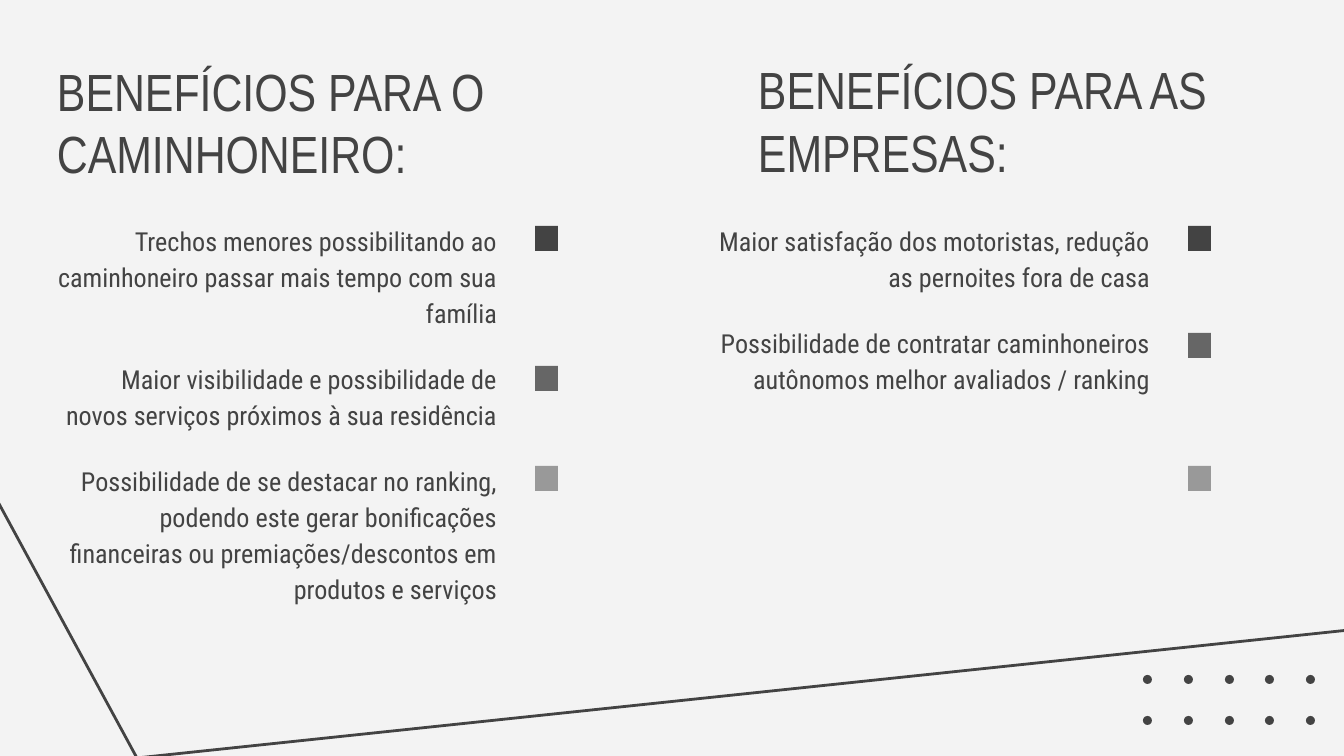
"""Build the slide on benefits for truck drivers and for companies."""

from dataclasses import dataclass

from pptx import Presentation
from pptx.dml.color import RGBColor
from pptx.enum.shapes import MSO_SHAPE
from pptx.enum.text import PP_ALIGN
from pptx.util import Emu, Pt

EMU_PER_PX = 914400 / 134.4


@dataclass(frozen=True)
class Theme:
    background: str = "F3F3F3"
    ink: str = "434343"
    markers: tuple = ("434343", "666666", "999999")
    title_font: str = "Arial Narrow"
    body_font: str = "Roboto Condensed"
    title_size: int = 28
    body_size: int = 14
    line_width: float = 1.5


THEME = Theme()
SLIDE_SIZE = (1344, 756)

COLUMNS = [
    {
        "left": 44,
        "title": "BENEFÍCIOS PARA O CAMINHONEIRO:",
        "title_position": (44, 46),
        "benefits": [
            "Trechos menores possibilitando ao caminhoneiro passar mais tempo com sua família",
            "Maior visibilidade e possibilidade de novos serviços próximos à sua residência",
            "Possibilidade de se destacar no ranking, podendo este gerar bonificações "
            "financeiras ou premiações/descontos em produtos e serviços",
        ],
        "marker_tops": (226, 366, 466),
    },
    {
        "left": 697,
        "title": "BENEFÍCIOS PARA AS EMPRESAS:",
        "title_position": (745, 44),
        "benefits": [
            "Maior satisfação dos motoristas, redução as pernoites fora de casa",
            "Possibilidade de contratar caminhoneiros autônomos melhor avaliados / ranking",
        ],
        "marker_tops": (226, 333, 466),
    },
]

TITLE_SIZE = (489, 122)
BODY_TOP, BODY_SIZE = 194, (466, 114)
MARKER_OFFSET, MARKER_SIZE = 491, (23, 25)
DOT_LEFT, DOT_SPAN, DOT_COLUMNS = 1143, 163, 5
DOT_TOPS, DOT_SIZE = (675, 716), (9, 9)
OUTLINE = [(-16, 476), (137, 758), (1359, 629)]


def px(value):
    return Emu(round(value * EMU_PER_PX))


def add_solid(slide, kind, position, size, color):
    shape = slide.shapes.add_shape(kind, *map(px, position + size))
    shape.shadow.inherit = False
    shape.fill.solid()
    shape.fill.fore_color.rgb = RGBColor.from_string(color)
    shape.line.fill.background()


def add_text(slide, position, size, insets, texts, font_name, font_size):
    frame = slide.shapes.add_textbox(*map(px, position + size)).text_frame
    frame.word_wrap = True
    frame.margin_left, frame.margin_top, frame.margin_right, frame.margin_bottom = map(px, insets)
    frame.text = "\n".join(texts)
    for paragraph in frame.paragraphs:
        paragraph.font.name = font_name
        paragraph.font.size = Pt(font_size)
        paragraph.font.color.rgb = RGBColor.from_string(THEME.ink)
    return frame.paragraphs


def add_decoration(slide):
    for top in DOT_TOPS:
        for column in range(DOT_COLUMNS):
            left = DOT_LEFT + round(column * DOT_SPAN / (DOT_COLUMNS - 1))
            add_solid(slide, MSO_SHAPE.OVAL, (left, top), DOT_SIZE, THEME.ink)
    builder = slide.shapes.build_freeform(*OUTLINE[0], scale=EMU_PER_PX)
    builder.add_line_segments(OUTLINE[1:], close=False)
    outline = builder.convert_to_shape()
    outline.shadow.inherit = False
    outline.fill.background()
    outline.line.color.rgb = RGBColor.from_string(THEME.ink)
    outline.line.width = Pt(THEME.line_width)


def add_column(slide, column):
    add_text(slide, column["title_position"], TITLE_SIZE, (13, 13, 13, 13),
             [column["title"]], THEME.title_font, THEME.title_size)
    benefits = add_text(slide, (column["left"], BODY_TOP), BODY_SIZE, (13, 27, 13, 0),
                        column["benefits"], THEME.body_font, THEME.body_size)
    for paragraph in benefits:
        paragraph.alignment = PP_ALIGN.RIGHT
        paragraph.line_spacing = 1.15
        paragraph.space_after = Pt(16)
    for top, color in zip(column["marker_tops"], THEME.markers):
        add_solid(slide, MSO_SHAPE.RECTANGLE, (column["left"] + MARKER_OFFSET, top),
                  MARKER_SIZE, color)


def main():
    presentation = Presentation()
    presentation.slide_width, presentation.slide_height = map(px, SLIDE_SIZE)
    slide = presentation.slides.add_slide(presentation.slide_layouts[6])
    slide.background.fill.solid()
    slide.background.fill.fore_color.rgb = RGBColor.from_string(THEME.background)
    add_decoration(slide)
    for column in COLUMNS:
        add_column(slide, column)
    presentation.save("out.pptx")


if __name__ == "__main__":
    main()
